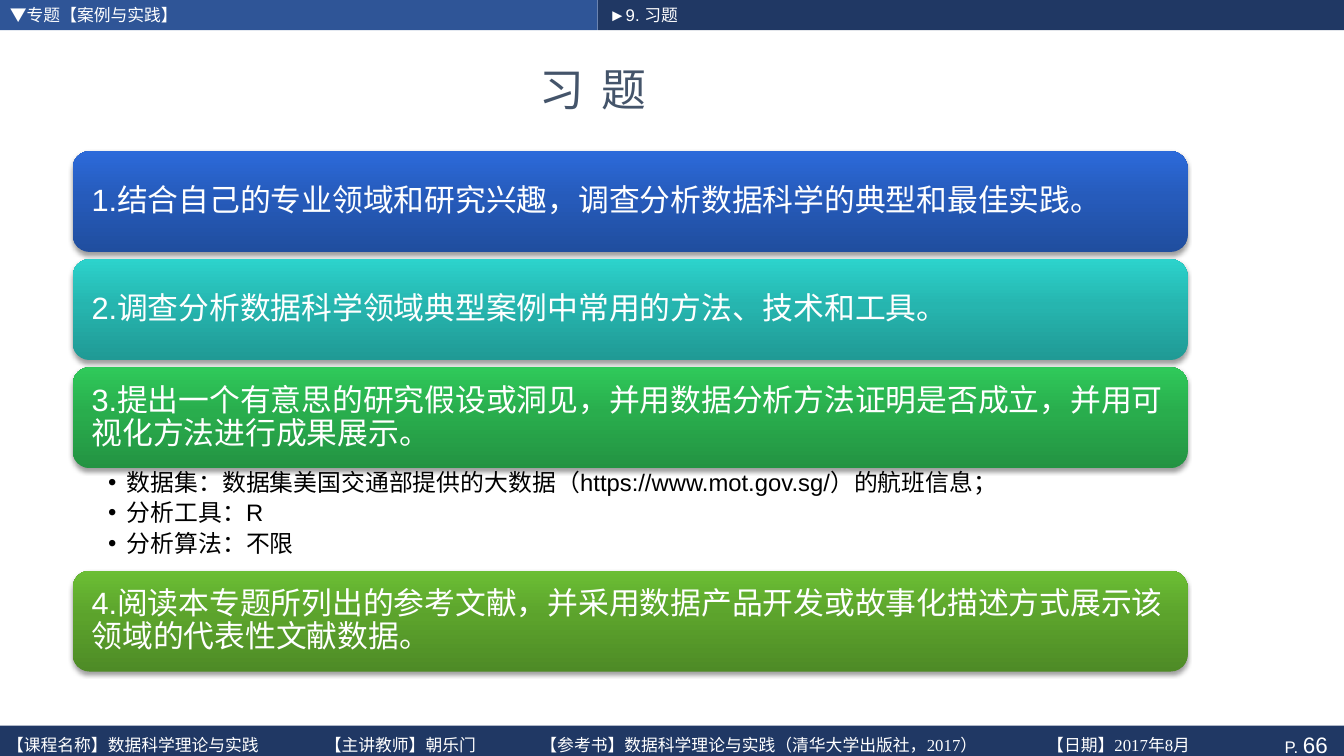
from lxml import etree
from pptx import Presentation
from pptx import util as u
from pptx.dml import color
from pptx.enum import shapes, text
from pptx.oxml import ns

WHITE, NAVY, BLUE, SLATE, BLACK = "FFFFFF", "203864", "2F5597", "44546A", "000000"
LEFT, WIDTH, CARD_HEIGHT, CARD_STEP = 52, 796.3, 72, 77.2


def rgb(value):
    return color.RGBColor.from_string(value)


def add_xml(parent, tag, **attributes):
    element = etree.SubElement(parent, ns.qn(tag))
    for name, value in attributes.items():
        element.set(name, str(value))
    return element


class ExercisePage:
    """Draws the styled elements of one exercise page."""

    font = "Arial"

    def __init__(self, deck):
        self.page = deck.slides.add_slide(deck.slide_layouts[6])

    def fill_text(self, box, paragraphs, insets=(7.2, 0, 7.2, 0), **frame_format):
        frame = box.text_frame
        margins = ("margin_left", "margin_top", "margin_right", "margin_bottom")
        settings = dict(zip(margins, map(u.Pt, insets)))
        settings |= {"word_wrap": True, "vertical_anchor": text.MSO_ANCHOR.MIDDLE}
        for name, value in (settings | frame_format).items():
            setattr(frame, name, value)
        for index, spans in enumerate(paragraphs):
            para = frame.paragraphs[0] if index == 0 else frame.add_paragraph()
            para.alignment = text.PP_ALIGN.LEFT
            for words, size, ink in spans:
                span = para.add_run()
                span.text = words
                span.font.color.rgb = rgb(ink)
                for name, value in {"name": self.font, "size": u.Pt(size)}.items():
                    setattr(span.font, name, value)
        return frame.paragraphs

    def label(self, place, paragraphs, **options):
        box = self.page.shapes.add_textbox(*map(u.Pt, place))
        return self.fill_text(box, paragraphs, **options)

    def shape(self, kind, place):
        box = self.page.shapes.add_shape(kind, *map(u.Pt, place))
        box.shadow.inherit = False
        box.line.fill.background()
        return box

    def bar(self, place, fill):
        box = self.shape(shapes.MSO_SHAPE.RECTANGLE, place)
        box.fill.solid()
        box.fill.fore_color.rgb = rgb(fill)
        return box

    def card(self, top, words, stops):
        box = self.shape(shapes.MSO_SHAPE.ROUNDED_RECTANGLE, (LEFT, top, WIDTH, CARD_HEIGHT))
        box.fill.gradient()
        properties = box._element.spPr
        gradient = properties.find(ns.qn("a:gradFill"))
        for child in list(gradient):
            gradient.remove(child)
        stop_list = add_xml(gradient, "a:gsLst")
        for position, value in zip((0, 55000, 100000), stops):
            stop = add_xml(stop_list, "a:gs", pos=position)
            add_xml(stop, "a:srgbClr", val=value)
        add_xml(gradient, "a:lin", ang=16200000, scaled=0)
        effects = properties.find(ns.qn("a:effectLst"))
        shadow = add_xml(effects, "a:outerShdw", blurRad=u.Pt(3.1), dist=u.Pt(2),
                         dir=5400000, algn="ctr", rotWithShape=0)
        add_xml(add_xml(shadow, "a:srgbClr", val=BLACK), "a:alpha", val=38000)
        for para in self.fill_text(box, [[(words, 22, WHITE)]], insets=(10, 6.5, 10, 6.5)):
            para.line_spacing = 0.9

    def bullets(self, place, items):
        paras = self.label(place, [[(item, 17, BLACK)] for item in items],
                           insets=(25.2, 2, 12, 2), vertical_anchor=text.MSO_ANCHOR.TOP)
        for para in paras:
            for name, value in {"line_spacing": 0.9, "space_after": u.Pt(3.4)}.items():
                setattr(para, name, value)
            properties = para._p.get_or_add_pPr()
            properties.set("marL", str(u.Pt(13.5)))
            properties.set("indent", str(-u.Pt(13.5)))
            add_xml(properties, "a:buFont", typeface=self.font)
            add_xml(properties, "a:buChar", char="•")

    def title(self, place, words):
        self.font = "Noto Sans CJK SC"
        para = self.label(place, [[(words, 32, SLATE)]])[0]
        self.font = "Arial"
        para.alignment = text.PP_ALIGN.CENTER
        para.runs[0].font._element.set("spc", "240")

    def footer(self, place, parts, stops):
        self.font = "Times New Roman"
        para = self.label(place, [[("\t".join(parts), 12, WHITE)]])[0]
        self.font = "Arial"
        tabs = add_xml(para._p.get_or_add_pPr(), "a:tabLst")
        for stop in stops:
            add_xml(tabs, "a:tab", pos=u.Pt(stop), algn="l")


def main():
    deck = Presentation()
    deck.slide_width, deck.slide_height = u.Pt(960), u.Pt(540)
    page = ExercisePage(deck)

    page.bar((0, 0, 427, 21.5), BLUE)
    page.bar((427, 0, 533, 21.5), NAVY)
    footer_bar = page.bar((0, 518.4, 960, 26.6), NAVY)
    number = page.fill_text(footer_bar, [[("P. ", 12, WHITE), ("66", 16, WHITE)]],
                            insets=(7.2, 0, 11.6, 0))
    number[0].alignment = text.PP_ALIGN.RIGHT
    page.footer((-2, 522, 919, 20),
                ["【课程名称】数据科学理论与实践", "【主讲教师】朝乐门",
                 "【参考书】数据科学理论与实践（清华大学出版社，2017）", "【日期】2017年8月"],
                (227, 381, 743))
    page.label((0, 0, 348, 21), [[("▼专题【案例与实践】", 12, WHITE)]])
    page.label((428, 0, 171, 21), [[("►9. 习题", 12, WHITE)]])
    page.title((32, 31, 783, 65), "习 题")

    cards = [
        (108, "1.结合自己的专业领域和研究兴趣，调查分析数据科学的典型和最佳实践。",
         ("204E9F", "265BBB", "2C6ADA")),
        (108 + CARD_STEP, "2.调查分析数据科学领域典型案例中常用的方法、技术和工具。",
         ("209A95", "26B5AF", "2CD3CC")),
        (108 + 2 * CARD_STEP,
         "3.提出一个有意思的研究假设或洞见，并用数据分析方法证明是否成立，并用可视化方法进行成果展示。",
         ("239342", "29AD4D", "2FC95A")),
        (407.7, "4.阅读本专题所列出的参考文献，并采用数据产品开发或故事化描述方式展示该领域的代表性文献数据。",
         ("4E8B26", "5CA32C", "6BBE34")),
    ]
    for top, words, stops in cards:
        page.card(top, words, stops)
    page.bullets((LEFT, 334.2, WIDTH, 73.4),
                 ["数据集：数据集美国交通部提供的大数据（https://www.mot.gov.sg/）的航班信息；",
                  "分析工具：R", "分析算法：不限"])
    deck.save("out.pptx")


if __name__ == "__main__":
    main()
